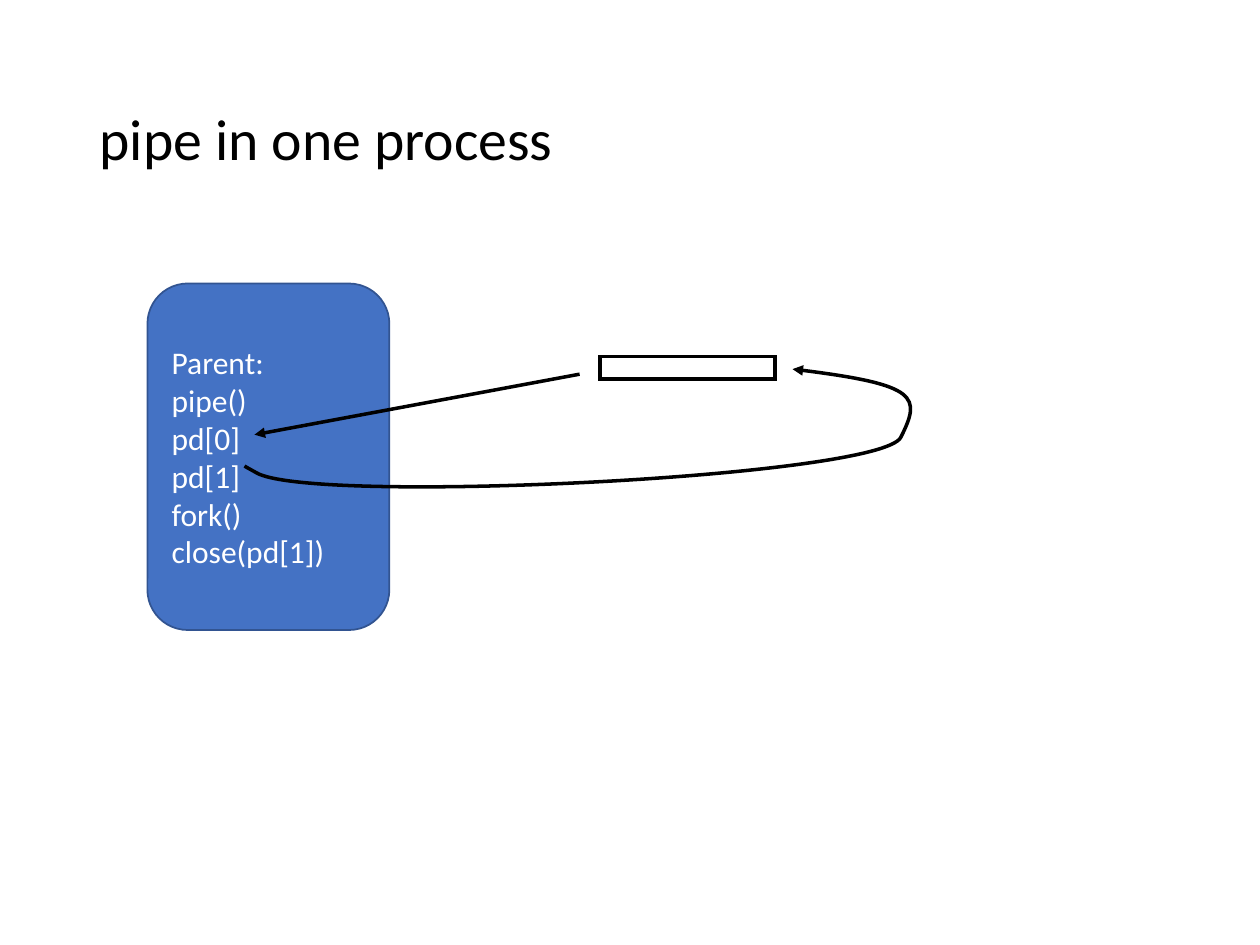
from dataclasses import dataclass

from lxml.etree import SubElement
from pptx import Presentation
from pptx.dml.color import RGBColor
from pptx.enum.shapes import MSO_CONNECTOR, MSO_SHAPE
from pptx.enum.text import MSO_ANCHOR, MSO_AUTO_SIZE, PP_ALIGN
from pptx.oxml.ns import qn
from pptx.util import Inches, Pt

Point = tuple[float, float]


@dataclass
class Box:
    kind: MSO_SHAPE
    left: float
    top: float
    width: float
    height: float
    line: str
    weight: float
    fill: str | None = None


PARENT = Box(MSO_SHAPE.ROUNDED_RECTANGLE, 1.17, 2.25, 1.92, 2.75, "325491", 1, "4472C4")
PIPE = Box(MSO_SHAPE.RECTANGLE, 4.76, 2.83, 1.39, 0.18, "000000", 2)
CALLS = ["Parent:", "pipe()", "pd[0]", "pd[1]", "fork()", "close(pd[1])"]
WRITE = [
    ("moveTo", [(1.94, 3.7)]),
    ("lnTo", [(2.03, 3.75)]),
    ("cubicBezTo", [(2.44, 4.01), (7, 3.79), (7.15, 3.47)]),
    ("cubicBezTo", [(7.31, 3.15), (7.29, 3.05), (6.29, 2.93)]),
]


def color(code: str) -> RGBColor:
    return RGBColor.from_string(code)


def style_line(shape, code: str, weight: float) -> None:
    shape.line.color.rgb = color(code)
    shape.line.width = Pt(weight)
    SubElement(shape._element.spPr.find(qn("a:ln")), qn("a:miter"), lim="800000")


def style_text(par, size: float, code: str) -> None:
    par.alignment = PP_ALIGN.LEFT
    par.font.name = "Calibri"
    par.font.size = Pt(size)
    par.font.color.rgb = color(code)


def add_box(shapes, box: Box):
    shape = shapes.add_shape(
        box.kind, *map(Inches, (box.left, box.top, box.width, box.height))
    )
    shape.shadow.inherit = False
    style_line(shape, box.line, box.weight)
    if box.fill:
        shape.fill.solid()
        shape.fill.fore_color.rgb = color(box.fill)
    else:
        shape.fill.background()
    return shape


def add_head(shape) -> None:
    style_line(shape, "000000", 2)
    props = shape._element.spPr
    SubElement(props.find(qn("a:ln")), qn("a:tailEnd"), type="triangle")
    if props.find(qn("a:effectLst")) is None:
        SubElement(props, qn("a:effectLst"))


def add_arrow(shapes, start: Point, end: Point) -> None:
    add_head(shapes.add_connector(MSO_CONNECTOR.STRAIGHT, *map(Inches, start + end)))


def add_curve(shapes, steps: list, low: Point, high: Point) -> None:
    form = shapes.build_freeform(*map(Inches, low))
    form.add_line_segments([tuple(map(Inches, high))], close=False)
    shape = form.convert_to_shape()
    shape.shadow.inherit = False
    shape.fill.background()
    track = next(shape._element.iter(qn("a:path")))
    for part in list(track):
        track.remove(part)
    for verb, points in steps:
        step = SubElement(track, qn(f"a:{verb}"))
        for x, y in points:
            SubElement(
                step,
                qn("a:pt"),
                x=str(Inches(x) - shape.left),
                y=str(Inches(y) - shape.top),
            )
    add_head(shape)


def add_title(shapes, text: str) -> None:
    title = shapes.title
    title.left, title.top = Inches(0.69), Inches(0.4)
    title.width, title.height = Inches(8.62), Inches(1.45)
    frame = title.text_frame
    frame.text = text
    frame.auto_size = MSO_AUTO_SIZE.NONE
    frame.vertical_anchor = MSO_ANCHOR.MIDDLE
    par = frame.paragraphs[0]
    style_text(par, 33, "000000")
    par.line_spacing = 0.9


def main() -> None:
    deck = Presentation()
    deck.slide_width, deck.slide_height = Inches(10), Inches(7.5)
    shapes = deck.slides.add_slide(deck.slide_layouts[5]).shapes
    add_title(shapes, "pipe in one process")
    frame = add_box(shapes, PARENT).text_frame
    frame.text = "\n".join(CALLS)
    frame.vertical_anchor = MSO_ANCHOR.MIDDLE
    for par in frame.paragraphs:
        style_text(par, 18, "FFFFFF")
    add_box(shapes, PIPE)
    add_curve(shapes, WRITE, (1.94, 2.93), (7.22, 3.86))
    add_arrow(shapes, (4.6, 2.97), (2.02, 3.45))
    deck.save("out.pptx")


if __name__ == "__main__":
    main()
